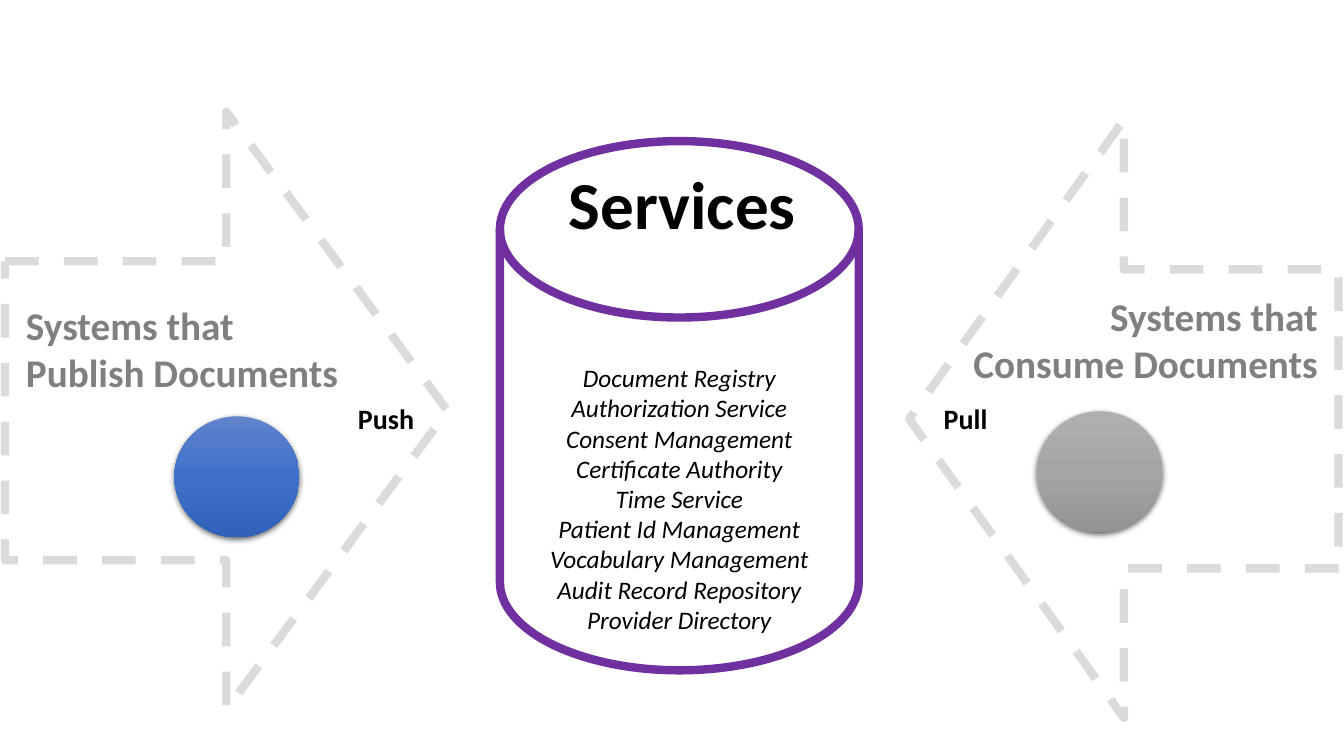
from copy import deepcopy
from pptx import Presentation
from pptx.dml.color import RGBColor
from pptx.enum.dml import MSO_LINE
from pptx.enum.shapes import MSO_SHAPE
from pptx.enum.text import MSO_ANCHOR, PP_ALIGN
from pptx.oxml import parse_xml
from pptx.oxml.ns import nsdecls, qn
from pptx.util import Pt

# Content
SERVICES = [
    "Document Registry", "Authorization Service", "Consent Management",
    "Certificate Authority", "Time Service", "Patient Id Management",
    "Vocabulary Management", "Audit Record Repository", "Provider Directory",
]
# Boxes are left, top, width, height in points
CYLINDER = (357.1, 100.8, 256.3, 378)
LABELS = [  # lines, box, style, alignment, wrap
    (["Systems that", "Publish Documents"], (11.5, 211.7, 239.8, 74.9),
     "system", PP_ALIGN.LEFT, False),
    (["Systems that", "Consume Documents"], (682.6, 205.2, 265.7, 74.9),
     "system", PP_ALIGN.RIGHT, True),
    (["Services"], (356.4, 112.3, 262.1, 65.5), "title", PP_ALIGN.CENTER, True),
    (["Pull"], (644.4, 283, 90.7, 31.7), "flow", PP_ALIGN.CENTER, True),
    (["Push"], (230.4, 283, 90.7, 31.7), "flow", PP_ALIGN.CENTER, True),
]
BALLS = [("blue", 124.6, 297.4), ("gray", 740.9, 293.8)]
BALL_SIZE = (89.3, 86.4)
ARROWS = [((649.4, 85.7, 306.7, 427), 180), ((3.6, 79.9, 316.1, 427), 0)]

# Theme
THEME = {
    "font": "Calibri",
    "system": (28, "808080", True, False),  # size, colour, bold, italic
    "title": (48, "000000", True, False),
    "flow": (20, "000000", True, False),
    "service": (18, "000000", False, True),
    "cylinder_fill": "FFFFFF",
    "cylinder_line": "7030A0",
    "arrow_line": "DBDBDB",
    "line_width": 6,
    "blue": ["6183CB", "3E70CA", "3062BB"],
    "gray": ["AFAFAF", "A5A5A5", "939393"],
}


def rgb(color):
    return RGBColor.from_string(color)


def write(tf, lines, style, align):
    size, color, bold, italic = THEME[style]
    for i, line in enumerate(lines):
        p = tf.paragraphs[0] if i == 0 else tf.add_paragraph()
        p.text, p.alignment = line, align
        font = p.font
        font.name, font.size = THEME["font"], Pt(size)
        font.bold, font.italic = bold, italic
        font.color.rgb = rgb(color)


def add_shape(s, kind, box):
    sp = s.shapes.add_shape(kind, *map(Pt, box))
    sp.shadow.inherit = False
    return sp


def add_outline(sp, color):
    sp.line.color.rgb = rgb(color)
    sp.line.width = Pt(THEME["line_width"])


def add_ball(s, name, left, top):
    sp = add_shape(s, MSO_SHAPE.OVAL, (left, top, *BALL_SIZE))
    sp.line.fill.background()
    # Three-stop gradient, top to bottom
    sp.fill.gradient()
    sp.fill.gradient_angle = 270
    stop_list = sp.fill._fill._gradFill.find(qn("a:gsLst"))
    stop_list.append(deepcopy(stop_list[-1]))
    for i, (stop, color) in enumerate(zip(sp.fill.gradient_stops, THEME[name])):
        stop.position = i / 2
        stop.color.rgb = rgb(color)
    # Soft shadow below
    sp._element.spPr.find(qn("a:effectLst")).append(parse_xml(
        f'<a:outerShdw {nsdecls("a")} blurRad="{Pt(4.5)}" dist="{Pt(1.5)}" '
        'dir="5400000" algn="ctr" rotWithShape="0"><a:srgbClr val="000000">'
        '<a:alpha val="63000"/></a:srgbClr></a:outerShdw>'))


def add_label(s, lines, box, style, align, wrap):
    tf = s.shapes.add_textbox(*map(Pt, box)).text_frame
    tf.word_wrap = wrap
    write(tf, lines, style, align)


def add_cylinder(s):
    sp = add_shape(s, MSO_SHAPE.FLOWCHART_MAGNETIC_DISK, CYLINDER)
    sp.fill.solid()
    sp.fill.fore_color.rgb = rgb(THEME["cylinder_fill"])
    add_outline(sp, THEME["cylinder_line"])
    tf = sp.text_frame
    tf.word_wrap = True
    tf.vertical_anchor = MSO_ANCHOR.TOP
    tf.margin_top, tf.margin_bottom = Pt(32), Pt(0)
    write(tf, SERVICES, "service", PP_ALIGN.CENTER)


def add_arrow(s, box, rotation):
    sp = add_shape(s, MSO_SHAPE.RIGHT_ARROW, box)
    sp.rotation = rotation
    sp.fill.background()
    add_outline(sp, THEME["arrow_line"])
    sp.line.dash_style = MSO_LINE.DASH


def main():
    prs = Presentation()
    prs.slide_width, prs.slide_height = Pt(960), Pt(540)
    s = prs.slides.add_slide(prs.slide_layouts[6])

    # Cylinder and arrows
    add_cylinder(s)
    for box, rotation in ARROWS:
        add_arrow(s, box, rotation)

    # Balls and labels
    for name, left, top in BALLS:
        add_ball(s, name, left, top)
    for label in LABELS:
        add_label(s, *label)

    prs.save("out.pptx")


if __name__ == "__main__":
    main()
